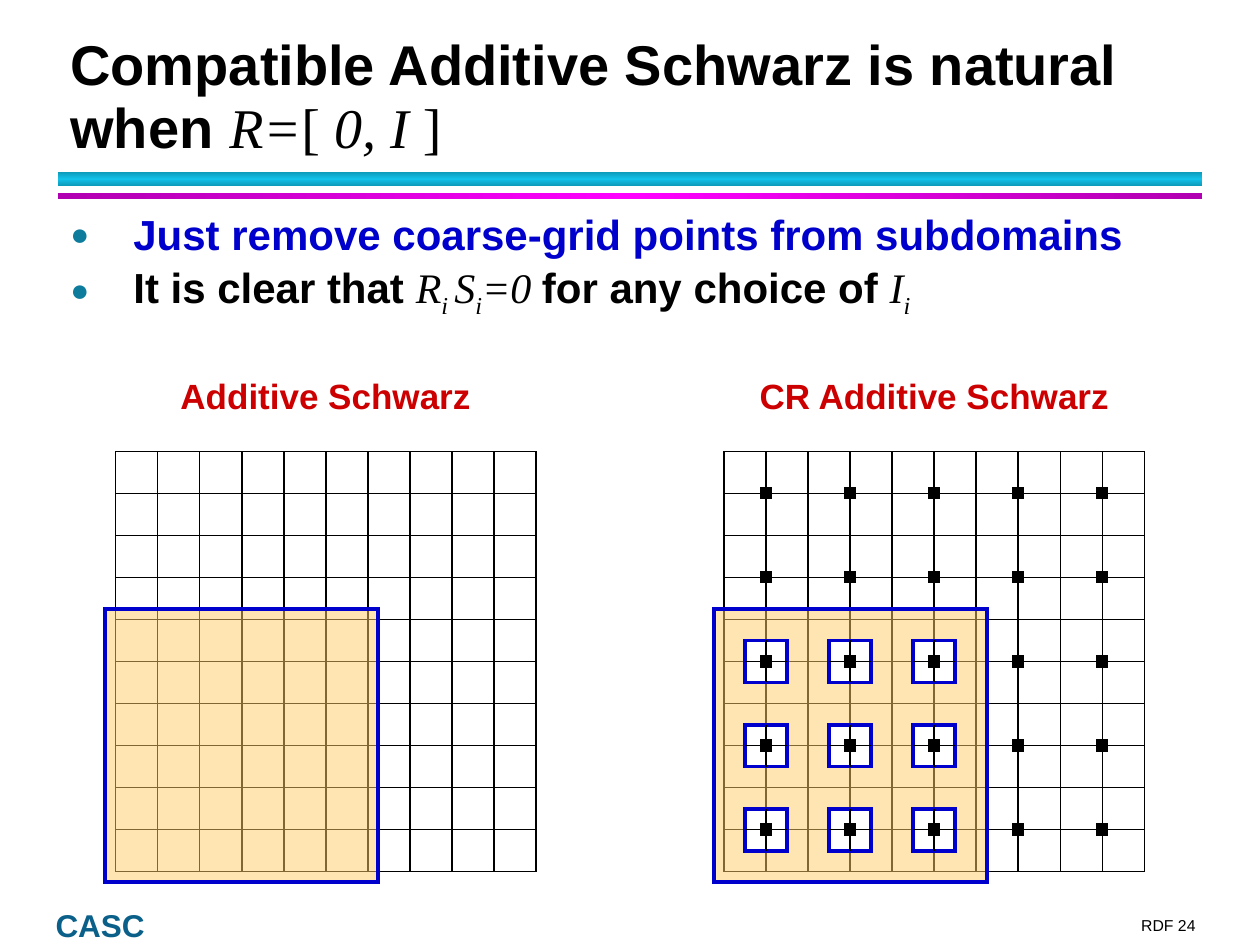
import copy
from dataclasses import dataclass

from lxml import etree
from pptx import Presentation
from pptx.dml.color import RGBColor
from pptx.enum import shapes, text
from pptx.oxml.ns import qn
from pptx.util import Cm, Pt


@dataclass(frozen=True)
class Theme:
    sans: str = "Arial"
    serif: str = "Times New Roman"
    black: str = "000000"
    white: str = "FFFFFF"
    blue: str = "0000CC"
    red: str = "CC0000"
    sand: str = "FFCC66"
    teal: str = "0A6089"
    bullet: str = "0C7B9C"
    cyan_rule: tuple = ("0E9AB9", "12C2E9", "0E9AB9")
    magenta_rule: tuple = ("B100B1", "FF00FF", "B100B1")
    title: int = 32
    body: int = 24
    label: int = 20
    unit: int = 18
    number: int = 9
    thin: float = 1
    thick: float = 2.25


THEME = Theme()
CELLS = 10
COARSE = range(1, CELLS, 2)
SUBDOMAIN_COLUMN, SUBDOMAIN_ROW = 6, 4


def rgb(value):
    return RGBColor.from_string(value)


def style(font, size, color, bold=True):
    font.name, font.size, font.bold = THEME.sans, Pt(size), bold
    font.color.rgb = rgb(color)


def add_text_box(parent, box, anchor=text.MSO_ANCHOR.TOP, margins=True, wrap=True):
    frame = parent.add_textbox(*box).text_frame
    frame.word_wrap = wrap
    frame.vertical_anchor = anchor
    frame.margin_left = frame.margin_right = Cm(0.25) if margins else 0
    frame.margin_top = frame.margin_bottom = Cm(0.13) if margins else 0
    return frame


def add_spans(para, spans):
    """Add (wording, kind) spans; kind is plain, math, upright or sub."""
    for wording, kind in spans:
        span = para.add_run()
        span.text = wording
        if kind != "plain":
            span.font.name, span.font.bold = THEME.serif, False
            span.font.italic = kind != "upright"
        if kind == "sub":
            span.font._element.set("baseline", "-25000")


def add_rect(parent, box, fill, line=None, width=THEME.thin, opacity=None):
    rect = parent.add_shape(shapes.MSO_SHAPE.RECTANGLE, *box)
    rect.shadow.inherit = False
    rect.fill.solid()
    rect.fill.fore_color.rgb = rgb(fill)
    if opacity:
        color = rect._element.spPr.find(".//" + qn("a:srgbClr"))
        etree.SubElement(color, qn("a:alpha"), val=str(opacity * 1000))
    if line:
        rect.line.color.rgb = rgb(line)
        rect.line.width = Pt(width)
        outline = rect._element.spPr.find(qn("a:ln"))
        etree.SubElement(outline, qn("a:miter"), lim="800000")
    else:
        rect.line.fill.background()
    return rect


def add_square(parent, x, y, side, *look):
    """Add a square centred on x, y."""
    add_rect(parent, (int(x - side / 2), int(y - side / 2), int(side), int(side)), *look)


def add_line(parent, *ends):
    line = parent.add_connector(shapes.MSO_CONNECTOR.STRAIGHT, *map(int, ends))
    line.line.color.rgb = rgb(THEME.black)
    line.line.width = Pt(THEME.thin)
    etree.SubElement(line._element.spPr, qn("a:effectLst"))


def add_rule(page, box, colors, angle):
    """Add a bar that shades evenly through three colours."""
    rule = add_rect(page.shapes, box, colors[0])
    rule.fill.gradient()
    rule.fill.gradient_angle = angle
    stops = rule._element.spPr.find(".//" + qn("a:gsLst"))
    stops.append(copy.deepcopy(stops[0]))
    for place, (stop, color) in enumerate(zip(rule.fill.gradient_stops, colors)):
        stop.position = place / 2
        stop.color.rgb = rgb(color)


def add_header(page, left, top, width):
    frame = add_text_box(page.shapes, (left, top, width, Cm(2.51)), text.MSO_ANCHOR.BOTTOM)
    para = frame.paragraphs[0]
    para.line_spacing = Pt(36)
    style(para.font, THEME.title, THEME.black)
    add_spans(para, [("Compatible Additive Schwarz is natural when ", "plain"),
                     ("R=", "math"), ("[ ", "upright"), ("0, I ", "math"), ("]", "upright")])
    add_rule(page, (left, top + Cm(2.63), width, Cm(0.28)), THEME.cyan_rule, 90)
    add_rule(page, (left, top + Cm(3.05), width, Cm(0.13)), THEME.magenta_rule, 0)


def add_bullet(para):
    props = para._p.get_or_add_pPr()
    props.set("marL", str(Cm(1.27)))
    props.set("indent", str(-Cm(1.27)))
    color = etree.SubElement(props, qn("a:buClr"))
    etree.SubElement(color, qn("a:srgbClr"), val=THEME.bullet)
    etree.SubElement(props, qn("a:buSzPct"), val="75000")
    etree.SubElement(props, qn("a:buFont"), typeface=THEME.sans)
    etree.SubElement(props, qn("a:buChar"), char="●")


def add_points(page, box):
    points = [
        (THEME.blue, [("Just remove coarse-grid points from subdomains", "plain")]),
        (THEME.black, [("It is clear that ", "plain"), ("R", "math"), ("i ", "sub"),
                       ("S", "math"), ("i", "sub"), ("=0 ", "math"),
                       ("for any choice of ", "plain"), ("I", "math"), ("i", "sub")]),
    ]
    frame = add_text_box(page.shapes, box)
    for place, (color, spans) in enumerate(points):
        para = frame.add_paragraph() if place else frame.paragraphs[0]
        add_bullet(para)
        para.line_spacing = Pt(28)
        para.space_before = Pt(6 if place else 0)
        style(para.font, THEME.body, color)
        add_spans(para, spans)


def add_removed_point(parent, x, y, cell):
    """Cut a one-cell hole in the subdomain, with the grid lines redrawn."""
    add_square(parent, x, y, cell, THEME.white, THEME.blue, THEME.thick)
    add_line(parent, x, y - cell / 2, x, y + cell / 2)
    add_line(parent, x - cell / 2, y, x + cell / 2, y)


def add_grid_panel(page, left, top, side, label, coarse=False):
    parent = page.shapes.add_group_shape().shapes
    cell = side / CELLS
    for step in range(CELLS + 1):
        offset = step * cell
        add_line(parent, left + offset, top, left + offset, top + side)
        add_line(parent, left, top + offset, left + side, top + offset)

    middle_x = left + SUBDOMAIN_COLUMN / 2 * cell
    middle_y = top + (SUBDOMAIN_ROW + CELLS) / 2 * cell
    add_square(parent, middle_x, middle_y, (SUBDOMAIN_COLUMN + 0.5) * cell,
               THEME.sand, THEME.blue, THEME.thick, 50)

    for row in COARSE if coarse else ():
        for column in COARSE:
            x, y = left + column * cell, top + row * cell
            if column < SUBDOMAIN_COLUMN and row > SUBDOMAIN_ROW:
                add_removed_point(parent, x, y, cell)
            add_square(parent, x, y, cell / 4, THEME.black, THEME.black)

    frame = add_text_box(page.shapes, (left, top - Cm(1.67), side, Cm(1.11)), wrap=False)
    para = frame.paragraphs[0]
    para.text, para.alignment = label, text.PP_ALIGN.CENTER
    style(para.font, THEME.label, THEME.red)


def add_footer(page, left, bottom, width):
    number_width = Cm(1.85)
    parts = [
        ("CASC", (left, bottom - Cm(0.71), Cm(1.96), Cm(0.71)),
         THEME.unit, THEME.teal, True, text.PP_ALIGN.LEFT, Pt(20)),
        ("RDF 24", (left + width - number_width, bottom - Cm(0.56), number_width, Cm(0.38)),
         THEME.number, THEME.black, False, text.PP_ALIGN.RIGHT, None),
    ]
    for wording, box, size, color, bold, alignment, spacing in parts:
        frame = add_text_box(page.shapes, box, text.MSO_ANCHOR.BOTTOM, margins=False)
        para = frame.paragraphs[0]
        para.text, para.alignment, para.line_spacing = wording, alignment, spacing
        style(para.font, size, color, bold)


def main():
    deck = Presentation()
    deck.slide_width, deck.slide_height = Cm(25.4), Cm(19.05)
    page = deck.slides.add_slide(deck.slide_layouts[6])
    add_footer(page, Cm(1.12), Cm(19.03), Cm(22.98))
    add_header(page, Cm(1.17), Cm(0.84), Cm(23.06))
    add_points(page, (Cm(1.17), Cm(4.11), Cm(23.11), Cm(14.07)))
    add_grid_panel(page, Cm(2.33), Cm(9.1), Cm(8.47), "Additive Schwarz")
    add_grid_panel(page, Cm(14.6), Cm(9.1), Cm(8.47), "CR Additive Schwarz", coarse=True)
    deck.save("out.pptx")


if __name__ == "__main__":
    main()
